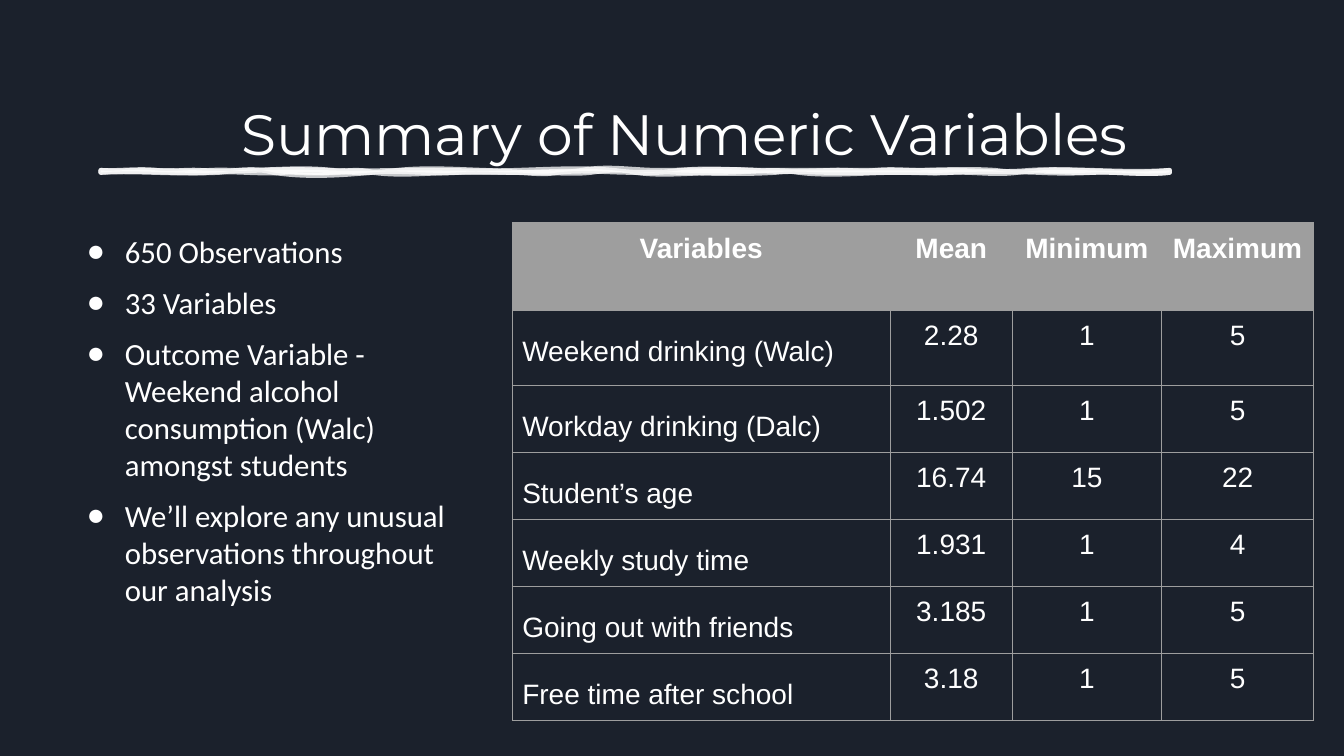
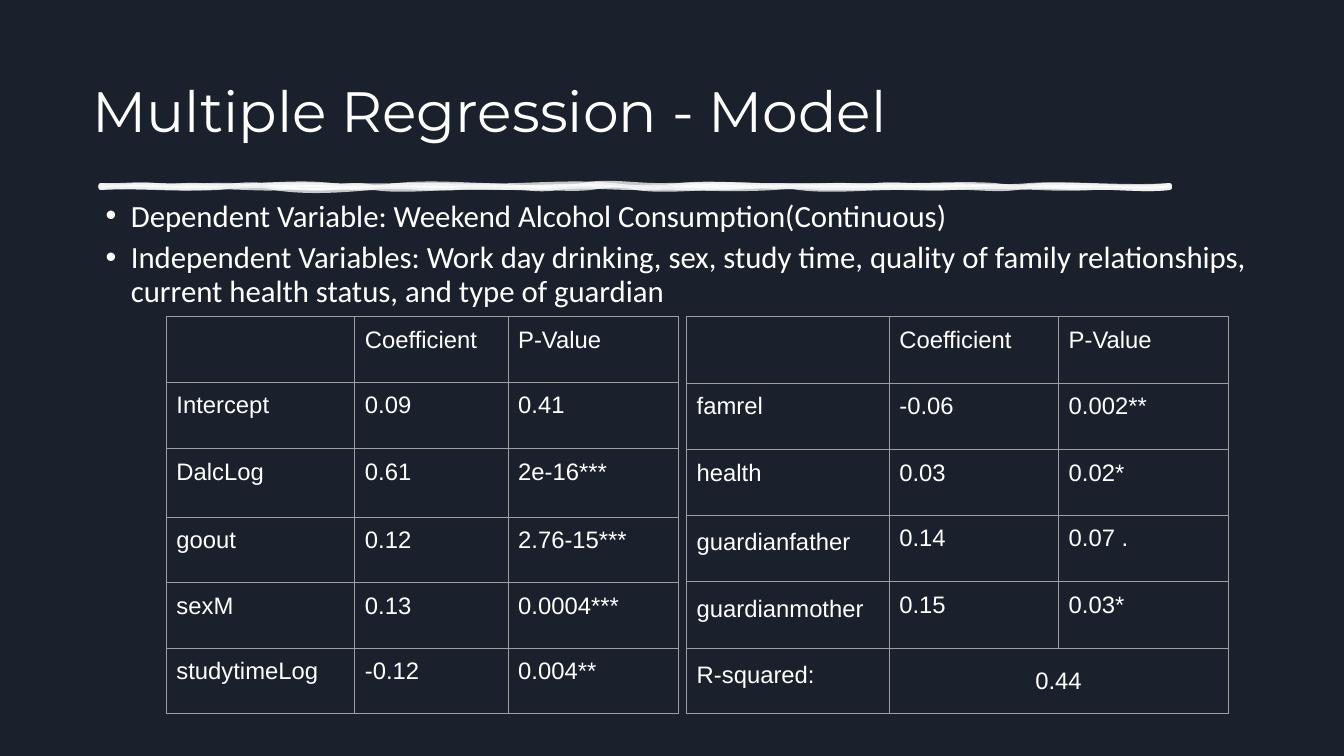
from lxml.etree import SubElement
from pptx import Presentation
from pptx.dml.color import RGBColor
from pptx.enum.shapes import MSO_SHAPE
from pptx.enum.text import MSO_ANCHOR, PP_ALIGN
from pptx.oxml.ns import qn
from pptx.util import Inches, Pt

NAVY = RGBColor(0x1B, 0x21, 0x2C)
WHITE = RGBColor(0xFF, 0xFF, 0xFF)
GRAY = RGBColor(0x9E, 0x9E, 0x9E)
TITLE_FONT, BODY_FONT, TABLE_FONT = "Montserrat", "Calibri", "Arial"
SLIDE_WIDTH, SLIDE_HEIGHT = Inches(13.33), Inches(7.5)
TABLE_FRAME = Inches(3.28)

# Brush strokes: (x, swing) knots along the upper and the lower edge
STROKE_LEFT, STROKE_DEPTH = 1, 0.02
OUTER_STROKE = (
    [(1, -.01), (1.44, 0), (2.09, .01), (2.53, .01), (3.29, -.03),
     (3.94, .03), (4.8, -.01), (5.77, .05), (6.53, 0), (7.5, -.02),
     (8.25, .01), (8.69, .02), (9.24, .01), (10.21, .03), (11.6, .05)],
    [(11.6, -.03), (10.84, -.01), (10.09, -.03), (9.43, -.01), (8.89, 0),
     (7.92, .04), (7.16, 0), (6.3, .04), (5.86, -.02), (5.32, 0), (4.56, 0),
     (3.7, .04), (3.26, -.01), (2.82, -.02), (2.06, -.02), (1, -.02)],
)
INNER_STROKE = (
    [(1, -.01), (1.55, -.02), (1.98, -.01), (2.53, .01), (3.29, -.01),
     (4.15, 0), (5.12, .01), (6.09, -.03), (6.74, .03), (7.6, 0), (8.36, 0),
     (9.01, 0), (9.87, -.02), (10.31, .02), (11.6, .03)],
    [(11.6, -.03), (10.84, -.01), (10.3, .01), (9.43, -.01), (9, 0),
     (8.24, 0), (7.69, -.02), (6.72, .01), (6.28, 0), (5.53, -.03),
     (5.09, 0), (4.54, -.02), (3.68, -.03), (2.71, .05), (2.17, -.02),
     (1, -.03)],
)

SUMMARY_BULLETS = [
    "650 Observations",
    "33 Variables",
    "Outcome Variable - Weekend alcohol consumption (Walc) amongst students",
    "We’ll explore any unusual observations throughout our analysis",
]
SUMMARY_ROWS = [
    ("Variables", "Mean", "Minimum", "Maximum"),
    ("Weekend drinking (Walc)", "2.28", "1", "5"),
    ("Workday drinking (Dalc)", "1.502", "1", "5"),
    ("Student’s age", "16.74", "15", "22"),
    ("Weekly study time", "1.931", "1", "4"),
    ("Going out with friends", "3.185", "1", "5"),
    ("Free time after school", "3.18", "1", "5"),
]
MODEL_BULLETS = [
    "Dependent Variable: Weekend Alcohol Consumption(Continuous)",
    "Independent Variables: Work day drinking, sex, study time, quality of "
    "family relationships, current health status, and type of guardian",
]
MODEL_HEADER = ("", "Coefficient", "P-Value")
HABIT_ROWS = [
    MODEL_HEADER,
    ("Intercept", "0.09", "0.41"),
    ("DalcLog", "0.61", "2e-16***"),
    ("goout", "0.12", "2.76-15***"),
    ("sexM", "0.13", "0.0004***"),
    ("studytimeLog", "-0.12", "0.004**"),
]
FAMILY_ROWS = [
    MODEL_HEADER,
    ("famrel", "-0.06", "0.002**"),
    ("health", "0.03", "0.02*"),
    ("guardianfather", "0.14", "0.07 ."),
    ("guardianmother", "0.15", "0.03*"),
    ("R-squared:", "0.44", ""),
]


def set_font(paragraph, name, size, bold=False):
    font = paragraph.font
    font.name, font.size, font.bold = name, Pt(size), bold
    font.color.rgb = WHITE


def set_insets(holder, side, end):
    holder.margin_left = holder.margin_right = Inches(side)
    holder.margin_top = holder.margin_bottom = Inches(end)


def add_rectangle(slide, left, top, width, height):
    panel = slide.shapes.add_shape(MSO_SHAPE.RECTANGLE, left, top, width, height)
    panel.shadow.inherit = False
    panel.fill.background()
    panel.line.fill.background()
    return panel


def add_title(slide, box, text, align, anchor):
    frame = add_rectangle(slide, *map(Inches, box)).text_frame
    frame.word_wrap = True
    frame.vertical_anchor = anchor
    set_insets(frame, 0.1, 0.05)
    title = frame.paragraphs[0]
    title.text, title.alignment, title.line_spacing = text, align, 0.9
    set_font(title, TITLE_FONT, 40.6)


def add_bullets(slide, box, items, inset, bullet, indent, hanging, gap, spacing):
    frame = slide.shapes.add_textbox(*map(Inches, box)).text_frame
    frame.word_wrap = True
    set_insets(frame, 0.1, inset)
    for index, item in enumerate(items):
        line = frame.paragraphs[0] if index == 0 else frame.add_paragraph()
        line.text, line.line_spacing = item, spacing
        line.space_before = Pt(gap if index else 0)
        set_font(line, BODY_FONT, 22)
        props = line._p.get_or_add_pPr()
        props.set("marL", str(Inches(indent)))
        props.set("indent", str(-Inches(hanging)))
        color = SubElement(props, qn("a:buClr"))
        SubElement(color, qn("a:srgbClr"), val=str(WHITE))
        typeface = SubElement(props, qn("a:buFont"), typeface=TABLE_FONT)
        mark = SubElement(props, qn("a:buChar"), char=bullet)
        for part in (color, typeface, mark):
            props.remove(part)
            props.insert_element_before(part, "a:tabLst", "a:defRPr", "a:extLst")


def bend_edges(contour, knots):
    """Turn the contour's straight edges into curves that swing at the knots."""
    edges = contour.findall(qn("a:lnTo"))
    for edge, (x0, y0, swing0), (x1, y1, swing1) in zip(edges, knots, knots[1:]):
        if x0 == x1:
            continue
        curve = contour.makeelement(qn("a:cubicBezTo"))
        third = (x1 - x0) / 3
        for x, y in ((x0 + third, y0 - swing0), (x1 - third, y1 + swing1), (x1, y1)):
            SubElement(curve, qn("a:pt"), x=str(Inches(x - STROKE_LEFT)),
                       y=str(Inches(y)))
        contour.replace(edge, curve)


def make_translucent(solid_fill):
    SubElement(solid_fill[0], qn("a:alpha"), val="75000")


def add_brush_line(slide, top):
    strokes = [[(x, 0, swing) for x, swing in upper]
               + [(x, STROKE_DEPTH, swing) for x, swing in lower]
               for upper, lower in (OUTER_STROKE, INNER_STROKE)]
    start = Inches(STROKE_LEFT), Inches(top)
    outline = slide.shapes.build_freeform(*start)
    for index, knots in enumerate(strokes):
        if index:
            outline.move_to(*start)
        outline.add_line_segments(
            [(Inches(x), Inches(top + y)) for x, y, _ in knots[1:]])
    brush = outline.convert_to_shape()
    brush.shadow.inherit = False
    brush.fill.solid()
    brush.fill.fore_color.rgb = WHITE
    brush.line.color.rgb = WHITE
    brush.line.width = Pt(3.5)
    props = brush._element.spPr
    ln = props.find(qn("a:ln"))
    make_translucent(props.find(qn("a:solidFill")))
    make_translucent(ln.find(qn("a:solidFill")))
    SubElement(ln, qn("a:round"))

    # Split the strokes, so that only the inner one is filled
    outer = props.find(".//" + qn("a:path"))
    inner = SubElement(outer.getparent(), qn("a:path"), dict(outer.attrib))
    outer.set("fill", "none")
    second_start = outer.findall(qn("a:moveTo"))[1]
    for step in list(outer)[outer.index(second_start):]:
        inner.append(step)
    for contour, knots in zip((outer, inner), strokes):
        bend_edges(contour, knots)


def add_borders(cell):
    props = cell._tc.get_or_add_tcPr()
    for index, side in enumerate(("lnL", "lnR", "lnT", "lnB")):
        border = SubElement(props, qn(f"a:{side}"), w=str(Pt(0.75)))
        fill = SubElement(border, qn("a:solidFill"))
        SubElement(fill, qn("a:srgbClr"), val=str(GRAY))
        props.remove(border)
        props.insert(index, border)


def add_grid(slide, left, top, widths, heights, rows, size):
    """Place an unbanded, outlined table and return it."""
    holder = slide.shapes.add_table(len(rows), len(widths), Inches(left),
                                    Inches(top), TABLE_FRAME, TABLE_FRAME)
    table = holder.table
    table.first_row = table.horz_banding = False
    for column, width in zip(table.columns, widths):
        column.width = Inches(width)
    for r, (values, height) in enumerate(zip(rows, heights)):
        table.rows[r].height = Inches(height)
        for c, value in enumerate(values):
            cell = table.cell(r, c)
            set_insets(cell, 0.1, 0.1)
            cell.fill.background()
            add_borders(cell)
            cell.text = value
            set_font(cell.text_frame.paragraphs[0], TABLE_FONT, size)
    # Rows grow with their text, so the frame stays small
    holder.width = holder.height = TABLE_FRAME
    return table


def add_summary_table(slide, left, top):
    table = add_grid(slide, left, top, (3.75, 1.21, 1.48, 1.51),
                     (0.87, 0.74, 0.63, 0.43, 0.43, 0.64, 0.64),
                     SUMMARY_ROWS, 20)
    for r in range(len(SUMMARY_ROWS)):
        for c in range(len(SUMMARY_ROWS[0])):
            cell = table.cell(r, c)
            entry = cell.text_frame.paragraphs[0]
            if r == 0:
                cell.fill.solid()
                cell.fill.fore_color.rgb = GRAY
                entry.font.bold = True
            if r == 0 or c > 0:
                entry.alignment = PP_ALIGN.CENTER
            else:
                entry.line_spacing, entry.space_before = 1.5, Pt(6)


def add_model_tables(slide, left, top):
    add_grid(slide, left, top, (1.87, 1.52, 1.69),
             (0.65, 0.66, 0.68, 0.65, 0.65, 0.65), HABIT_ROWS, 17)
    family = add_grid(slide, left + 5.16, top, (2.01, 1.68, 1.68),
                      [0.66, 0.66, 0.65] * 2, FAMILY_ROWS, 17)
    for r in (3, 4, 5):
        family.cell(r, 0).text_frame.paragraphs[0].line_spacing = 1.15
    r_squared = family.cell(5, 1)
    r_squared.merge(family.cell(5, 2))
    r_squared.vertical_anchor = MSO_ANCHOR.MIDDLE
    r_squared.text_frame.paragraphs[0].alignment = PP_ALIGN.CENTER


def add_dark_slide(deck):
    slide = deck.slides.add_slide(deck.slide_layouts[6])
    backdrop = add_rectangle(slide, 0, 0, SLIDE_WIDTH, SLIDE_HEIGHT)
    for fill in (slide.background.fill, backdrop.fill):
        fill.solid()
        fill.fore_color.rgb = NAVY
    return slide


def build_summary(deck):
    slide = add_dark_slide(deck)
    add_title(slide, (0.34, 0.41, 12.9, 1.3), "Summary of Numeric Variables",
              PP_ALIGN.CENTER, MSO_ANCHOR.BOTTOM)
    add_brush_line(slide, 1.69)
    add_summary_table(slide, 5.08, 2.21)
    add_bullets(slide, (0.64, 2.21, 4.05, 4.59), SUMMARY_BULLETS, inset=0.1,
                bullet="●", indent=0.5, hanging=0.38, gap=10, spacing=1.0)


def build_model(deck):
    slide = add_dark_slide(deck)
    add_title(slide, (0.82, 0.41, 11.5, 1.45), "Multiple Regression - Model",
              PP_ALIGN.LEFT, MSO_ANCHOR.MIDDLE)
    add_brush_line(slide, 1.84)
    add_bullets(slide, (0.82, 1.94, 11.96, 5.14), MODEL_BULLETS, inset=0.05,
                bullet="•", indent=0.38, hanging=0.25, gap=6, spacing=0.9)
    add_model_tables(slide, 1.65, 3.14)


def main():
    deck = Presentation()
    deck.slide_width, deck.slide_height = SLIDE_WIDTH, SLIDE_HEIGHT
    build_summary(deck)
    build_model(deck)
    deck.save("out.pptx")


if __name__ == "__main__":
    main()
